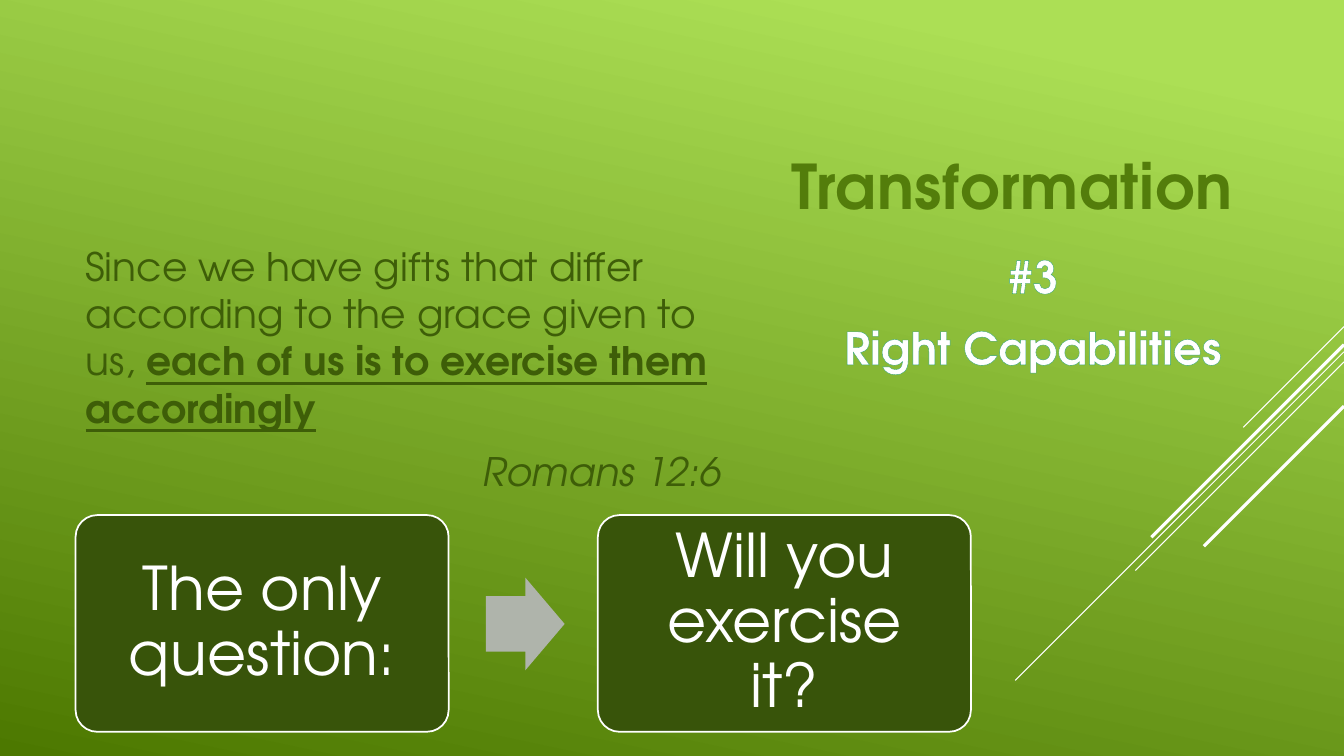
from lxml import etree
from pptx import Presentation, util as u
from pptx.dml.color import RGBColor
from pptx.enum import shapes, text
from pptx.oxml import ns

WIDE, HIGH = 13.33, 7.5
ALIGN = text.PP_ALIGN
ANCHOR = text.MSO_ANCHOR


def color(code):
    return RGBColor.from_string(code)


def style(run, font, size=28, ink="FFFFFF", bold=False,
          italic=False, under=False, space=None, edge=None):
    """Format a run; space is in points, edge is (colour, width in points)."""
    face = run.font
    face.name, face.size = font, u.Pt(size)
    face.bold, face.italic, face.underline = bold, italic, under
    face.color.rgb = color(ink)
    props = run._r.get_or_add_rPr()
    if space:
        props.set("spc", str(round(space * 100)))
    if edge:
        line = etree.Element(ns.qn("a:ln"), w=str(u.Pt(edge[1])))
        fill = etree.SubElement(line, ns.qn("a:solidFill"))
        etree.SubElement(fill, ns.qn("a:srgbClr"), val=edge[0])
        props.insert(0, line)


class Deck:
    font = "TeX Gyre Adventor"
    white = "FFFFFF"

    def __init__(self):
        self.show = Presentation()
        self.show.slide_width = u.Inches(WIDE)
        self.show.slide_height = u.Inches(HIGH)
        self.slide = self.show.slides.add_slide(self.show.slide_layouts[6])

    def back(self, stops, angle):
        """Fill the background; angle runs clockwise."""
        fill = self.slide.background.fill
        fill.gradient()
        fill.gradient_angle = 360 - angle
        for stop, (place, code) in zip(fill.gradient_stops, stops):
            stop.position, stop.color.rgb = place, color(code)

    def line(self, start, end, width):
        line = self.slide.shapes.add_connector(
            shapes.MSO_CONNECTOR.STRAIGHT, *map(u.Inches, start + end))
        line.line.color.rgb = color(self.white)
        line.line.width = u.Pt(width)
        etree.SubElement(line._element.spPr, ns.qn("a:effectLst"))

    def fill_text(self, frame, paras, align=ALIGN.LEFT, anchor=ANCHOR.TOP,
                  before=0, after=0, lead=1.0, **form):
        """Each paragraph is a list of (words, format) pairs."""
        frame.word_wrap, frame.vertical_anchor = True, anchor
        for i, parts in enumerate(paras):
            para = frame.add_paragraph() if i else frame.paragraphs[0]
            para.alignment, para.line_spacing = align, lead
            para.space_before, para.space_after = u.Pt(before), u.Pt(after)
            for words, extra in parts:
                run = para.add_run()
                run.text = words
                style(run, self.font, **{**form, **extra})

    def text(self, box, paras, **form):
        frame = self.slide.shapes.add_textbox(*map(u.Inches, box)).text_frame
        self.fill_text(frame, paras, **form)
        return frame

    def shape(self, kind, box, fill, adjust, edge=0):
        item = self.slide.shapes.add_shape(kind, *map(u.Inches, box))
        item.shadow.inherit = False
        item.fill.solid()
        item.fill.fore_color.rgb = color(fill)
        for i, value in enumerate(adjust):
            item.adjustments[i] = value
        if edge:
            item.line.color.rgb = color(self.white)
            item.line.width = u.Pt(edge)
        else:
            item.line.fill.background()
        return item

    def card(self, box, words):
        item = self.shape(shapes.MSO_SHAPE.ROUNDED_RECTANGLE, box,
                          "38540A", [0.1], edge=1.25)
        frame = item.text_frame
        frame.margin_left = frame.margin_right = u.Inches(0.24)
        frame.margin_top = frame.margin_bottom = u.Inches(0.24)
        self.fill_text(frame, [[(words, {})]], align=ALIGN.CENTER,
                       anchor=ANCHOR.MIDDLE, lead=0.9, size=43)


def main():
    deck = Deck()
    deck.back([(0.1, "ACDF55"), (1, "4C7800")], 102)

    # Diagonal rays leave the right edge at 45 degrees
    for top, reach, width in [(3.24, 1, 0.75), (3.49, 3.26, 0.75),
                              (3.59, 2.07, 0.75), (3.42, 1.91, 2.25),
                              (4.03, 1.39, 2.25)]:
        deck.line((WIDE, top), (WIDE - reach, top + reach), width)

    deck.text((7.75, 0.75, 4.62, 1.5), [[("Transformation", {})]],
              anchor=ANCHOR.BOTTOM, size=44, ink="537D0B", bold=True,
              space=0.5)
    verse = deck.text(
        (0.75, 0.75, 6.5, 5.81),
        [[("Since we have gifts that differ according to the grace given "
           "to us, ", {}),
          ("each of us is to exercise them accordingly",
           {"bold": True, "under": True})],
         [("Romans 12:6", {"italic": True})]],
        anchor=ANCHOR.MIDDLE, before=5.6, after=6, ink="3E5E08")
    verse.paragraphs[1].alignment = ALIGN.RIGHT
    deck.text((7.75, 2.42, 4.99, 2.29),
              [[("#3", {})], [("Right Capabilities", {})]],
              align=ALIGN.CENTER, before=6.4, after=6, size=32, bold=True,
              edge=("31A274", 0.52))

    for left, words in [(0.75, "The only question:"),
                        (5.93, "Will you exercise it?")]:
        deck.card((left, 5.11, 3.7, 2.15), words)
    deck.shape(shapes.MSO_SHAPE.RIGHT_ARROW, (4.82, 5.73, 0.78, 0.92),
               "AFB4AB", [0.6, 0.5])
    deck.show.save("out.pptx")


if __name__ == "__main__":
    main()
